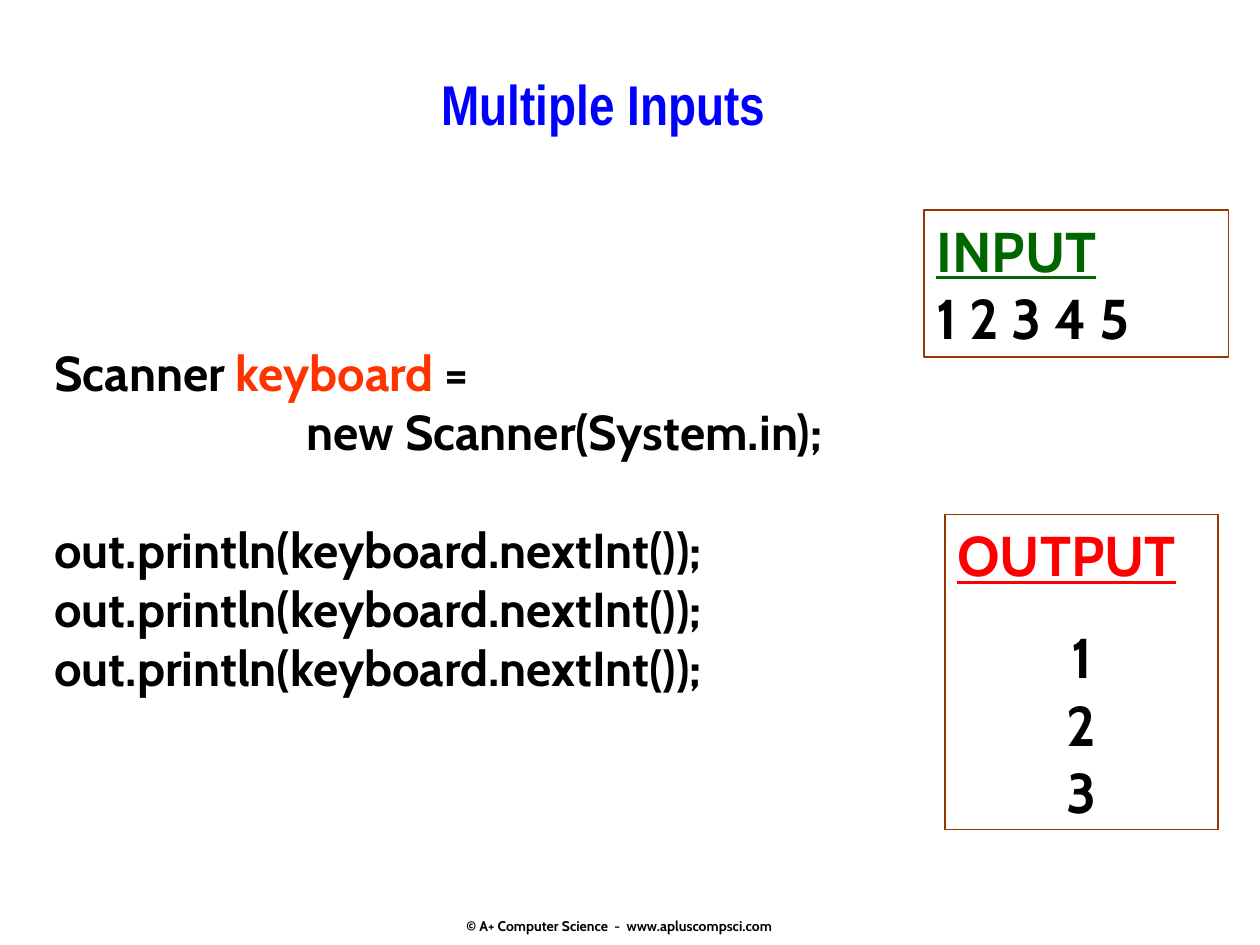
from dataclasses import dataclass

from lxml.etree import SubElement
from pptx import Presentation
from pptx.dml.color import RGBColor as Rgb
from pptx.enum.shapes import MSO_SHAPE as Shape
from pptx.enum.text import MSO_ANCHOR as Anchor, PP_ALIGN as Align
from pptx.oxml.ns import qn
from pptx.util import Inches, Pt


@dataclass(frozen=True)
class Theme:
    heading_font: str = "Arial Narrow"
    body_font: str = "Cabin"
    paper: str = "FFFFFF"
    ink: str = "000000"
    heading: str = "0000FF"
    variable: str = "FF3300"
    frame: str = "993300"
    input_label: str = "006600"
    output_label: str = "FF0000"
    heading_size: float = 32
    code_size: float = 28
    footer_size: float = 8
    code_gap: float = 34
    label_gap: float = 20


class SlideBuilder:
    columns, rows = 120, 90

    def __init__(self, deck, theme):
        self.deck, self.theme = deck, theme
        title_only = deck.slide_layouts[5]
        self.slide = deck.slides.add_slide(title_only)

    def area(self, column, row, wide, high):
        across = self.deck.slide_width / self.columns
        down = self.deck.slide_height / self.rows
        return [round(n) for n in (column * across, row * down, wide * across, high * down)]

    def style(self, paragraph, size, color=None, font=None, align=Align.LEFT, before=0):
        paragraph.alignment = align
        paragraph.space_before = Pt(before)
        paragraph.font.name = font or self.theme.body_font
        paragraph.font.size = Pt(size)
        paragraph.font.bold = True
        paragraph.font.color.rgb = Rgb.from_string(color or self.theme.ink)

    def title(self, text, *place):
        heading = self.slide.shapes.title
        heading.left, heading.top, heading.width, heading.height = self.area(*place)
        heading.text_frame.vertical_anchor = Anchor.TOP
        heading.text_frame.text = text
        self.style(heading.text_frame.paragraphs[0], self.theme.heading_size,
                   self.theme.heading, self.theme.heading_font, Align.CENTER)

    def panel(self, *place, fill=None, line=None):
        panel = self.slide.shapes.add_shape(Shape.RECTANGLE, *self.area(*place))
        panel.shadow.inherit = False
        if fill:
            panel.fill.solid()
            panel.fill.fore_color.rgb = Rgb.from_string(fill)
        else:
            panel.fill.background()
        if line:
            panel.line.color.rgb = Rgb.from_string(line)
            panel.line.width = Pt(1)
        else:
            panel.line.fill.background()
        panel.text_frame.vertical_anchor = Anchor.TOP
        panel.text_frame.word_wrap = True
        return panel.text_frame

    def code(self, blocks, variable, *place):
        frame = self.panel(*place, fill=self.theme.paper)
        paragraph = frame.paragraphs[0]
        for block_number, block in enumerate(blocks):
            for line_number, line in enumerate(block):
                if block_number or line_number:
                    paragraph = frame.add_paragraph()
                tabs = SubElement(paragraph._p.get_or_add_pPr(), qn("a:tabLst"))
                for inch in range(1, 8):
                    SubElement(tabs, qn("a:tab"), pos=str(Inches(inch)), algn="l")
                opens_block = block_number and not line_number
                self.style(paragraph, self.theme.code_size,
                           before=self.theme.code_gap if opens_block else 0)
                for text, color in line:
                    run = paragraph.add_run()
                    run.text = text
                    if color == variable:
                        run.font.color.rgb = Rgb.from_string(color)

    def console(self, label, color, values, *place, align=Align.LEFT, gap=0):
        frame = self.panel(*place, line=self.theme.frame)
        heading = frame.paragraphs[0]
        heading.text = label
        self.style(heading, self.theme.heading_size, color)
        heading.font.underline = True
        for number, value in enumerate(values):
            paragraph = frame.add_paragraph()
            paragraph.text = value
            self.style(paragraph, self.theme.heading_size, align=align,
                       before=0 if number else gap)

    def footer(self, text, *place):
        frame = self.slide.shapes.add_textbox(*self.area(*place)).text_frame
        frame.word_wrap = True
        frame.text = text
        self.style(frame.paragraphs[0], self.theme.footer_size, align=Align.CENTER)


def main():
    deck = Presentation()
    deck.slide_width, deck.slide_height = Inches(10), Inches(7.5)
    theme = Theme()
    page = SlideBuilder(deck, theme)

    declaration = [
        [("Scanner ", theme.ink), ("keyboard", theme.variable), (" =", theme.ink)],
        [("\t\tnew Scanner(System.in);", theme.ink)],
    ]
    prints = [[("out.println(keyboard.nextInt());", theme.ink)]] * 3

    page.footer("© A+ Computer Science  -  www.apluscompsci.com", 40, 86.75, 38, 3)
    page.code([declaration, prints], theme.variable, 4, 32, 96, 46)
    page.title("Multiple Inputs", 21, 6, 73, 10)
    page.console("OUTPUT", theme.output_label, ["1", "2", "3"], 90, 49, 26, 30,
                 align=Align.CENTER, gap=theme.label_gap)
    page.console("INPUT", theme.input_label, ["1 2 3 4 5"], 88, 20, 29, 14)
    deck.save("out.pptx")


if __name__ == "__main__":
    main()
